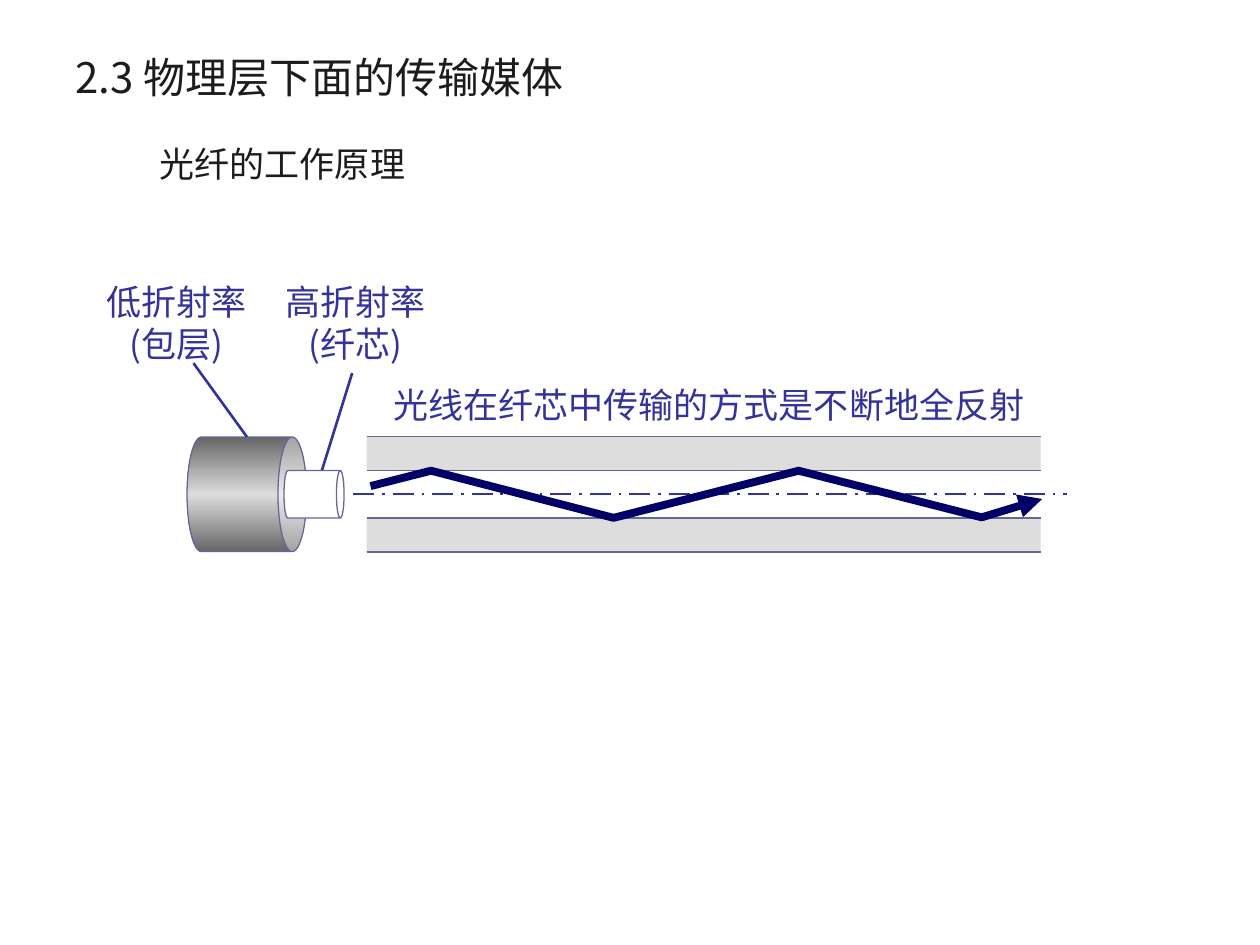
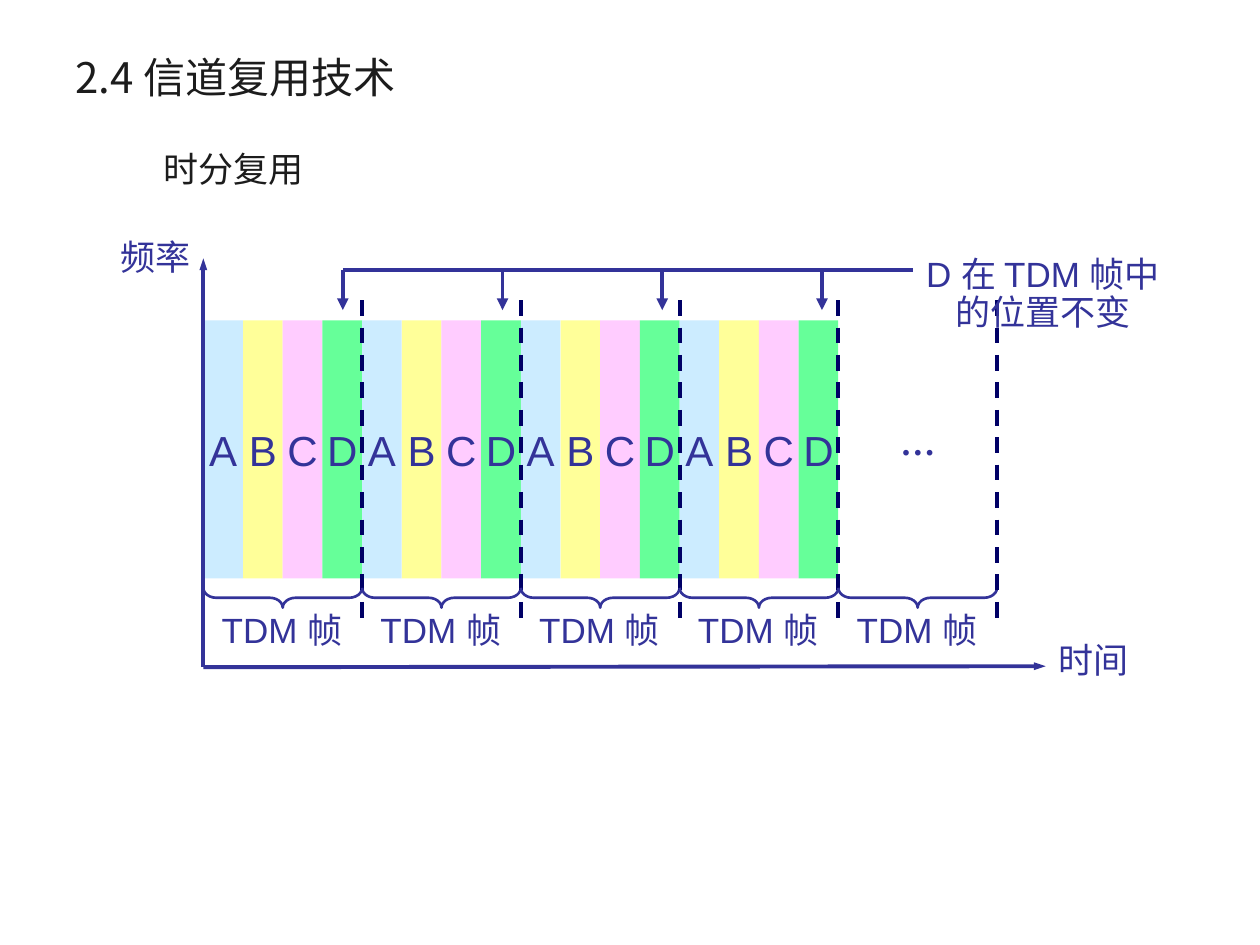
from lxml.etree import SubElement
from pptx import Presentation
from pptx.dml.color import RGBColor
from pptx.enum.dml import MSO_LINE
from pptx.enum.shapes import MSO_CONNECTOR, MSO_SHAPE
from pptx.enum.text import MSO_ANCHOR, PP_ALIGN
from pptx.oxml.ns import qn
from pptx.util import Cm, Pt

COLORS = {
    "title": "1C1C1C", "text": "333399", "ray": "000066", "edge": "666699",
    "cladding": "DDDDDD", "dark": "666666", "core": "FFFFFF",
    "A": "CCECFF", "B": "FFFF99", "C": "FFCCFF", "D": "66FF99",
}
CJK = "Noto Sans CJK SC"
LATIN = "Arial"
SERIF = "Times New Roman"

# All places and sizes are in centimetres: left, top, width, height.
HEADING_BOX = (1.27, 0.78, 22.86, 1.55)

FIBER = {
    "heading": "2.3 物理层下面的传输媒体",
    "title": "光纤的工作原理",
    "title_box": (1.9, 2.53, 7.59, 1.55),
    "labels": [
        (["低折射率", "(包层)"], (1.9, 5.53, 3.33, 1.96)),
        (["高折射率", "(纤芯)"], (5.51, 5.53, 3.33, 1.96)),
    ],
    "leaders": [((3.9, 7.32), (4.98, 8.81)), ((7.1, 7.52), (6.49, 9.48))],
    "caption": ("光线在纤芯中传输的方式是不断地全反射", (7.68, 7.61, 13.23, 1.12)),
    "span": (7.39, 20.98),
    "edges": [8.8, 9.49, 10.44, 11.13],
    "layers": ["cladding", "core", "cladding"],
    "cladding_can": (3.82, 8.76, 2.31, 2.41),
    "core_can": (5.85, 9.36, 0.96, 1.21),
    "axis": ((7.12, 9.96), (21.51, 9.96)),
    "ray": [(7.47, 9.8), (8.69, 9.49), (12.37, 10.44),
            (16.1, 9.49), (19.79, 10.43), (21.01, 10.06)],
}

TDM = {
    "heading": "2.4 信道复用技术",
    "title": "时分复用",
    "title_box": (2.2, 2.62, 5.03, 1.55),
    "users": "ABCD",
    "full_frames": 4,
    "frames": 5,
    "frame_label": "TDM 帧",
    "axis_labels": [("频率", (2.18, 4.72, 2.3, 1.02)),
                    ("时间", (21.09, 12.85, 2.3, 1.02))],
    "note": (["D 在 TDM 帧中", "的位置不变"], (18.17, 5.07, 5.72, 1.78)),
    "more": ("…", (17.9, 8.36, 1.22, 1.09)),
}
ORIGIN_X, ORIGIN_Y = 4.1, 13.45
SLOT_W, SLOT_TOP, SLOT_H = 0.8, 6.46, 5.2
FRAME_W = SLOT_W * len(TDM["users"])
BRACE_Y, BRACE_DEPTH = 12.05, 0.4
NOTE_Y, POINTER_X, POINTER_GAP = 5.45, 6.91, 3.22


def rgb(name):
    return RGBColor.from_string(COLORS[name])


def cm(values):
    return [Cm(v) for v in values]


def write(sp, lines, size=20, font=CJK, color="text", align=PP_ALIGN.LEFT,
          anchor=MSO_ANCHOR.TOP, spacing=None, bold=False, wrap=False):
    tf = sp.text_frame
    tf.word_wrap = wrap
    tf.vertical_anchor = anchor
    for i, line in enumerate(lines):
        p = tf.add_paragraph() if i else tf.paragraphs[0]
        p.text = line
        p.alignment = align
        p.line_spacing = spacing
        f = p.font
        f.size, f.name, f.bold = Pt(size), font, bold
        f.color.rgb = rgb(color)
        latin = f._element.find(qn("a:latin"))
        ea = SubElement(f._element, qn("a:ea"), typeface=CJK)
        latin.addnext(ea)


def add_text(slide, lines, box, **style):
    write(slide.shapes.add_textbox(*cm(box)), lines, **style)


def add_preset(slide, kind, box, fill=None, edge=None, width=0.75):
    sp = slide.shapes.add_shape(kind, *cm(box))
    sp.shadow.inherit = False
    if fill:
        sp.fill.solid()
        sp.fill.fore_color.rgb = rgb(fill)
    else:
        sp.fill.background()
    if edge:
        sp.line.color.rgb = rgb(edge)
        sp.line.width = Pt(width)
    else:
        sp.line.fill.background()
    return sp


def style_line(sp, color, width, dash=None, arrow=None):
    """Style a line; arrow is the width of its head: sm, med or lg."""
    sp.line.color.rgb = rgb(color)
    sp.line.width = Pt(width)
    if dash:
        sp.line.dash_style = dash
    if arrow:
        SubElement(sp.line._get_or_add_ln(), qn("a:tailEnd"),
                   type="triangle", w=arrow)


def add_line(slide, start, end, color="text", width=2.25, **style):
    c = slide.shapes.add_connector(MSO_CONNECTOR.STRAIGHT, *cm(start + end))
    style_line(c, color, width, **style)
    SubElement(c._element.spPr, qn("a:effectLst"))


def add_can(slide, box, depth, fill):
    """Add a cylinder lying on its side, open end to the right."""
    sp = add_preset(slide, MSO_SHAPE.CAN, box, fill, "edge")
    sp.rotation = 90
    sp.adjustments[0] = depth
    return sp


def shade_across(sp, outer, middle):
    """Fill with a gradient from outer through middle and back to outer."""
    sp.fill.gradient()
    sp.fill.gradient_angle = 0
    stops = sp.fill._fill._gradFill.find(qn("a:gsLst"))
    for gs in list(stops):
        stops.remove(gs)
    for pos, name in ((0, outer), (50000, middle), (100000, outer)):
        gs = SubElement(stops, qn("a:gs"), pos=str(pos))
        SubElement(gs, qn("a:srgbClr"), val=COLORS[name])


def start_slide(prs, content):
    slide = prs.slides.add_slide(prs.slide_layouts[5])
    title = slide.shapes.title
    title.left, title.top, title.width, title.height = cm(content["title_box"])
    write(title, [content["title"]], color="title", align=PP_ALIGN.CENTER,
          anchor=MSO_ANCHOR.MIDDLE, wrap=True)
    add_text(slide, [content["heading"]], HEADING_BOX, size=24, color="title",
             anchor=MSO_ANCHOR.MIDDLE, wrap=True)
    return slide


def build_fiber(prs):
    slide = start_slide(prs, FIBER)
    left, right = FIBER["span"]
    edges = FIBER["edges"]
    for fill, top, bottom in zip(FIBER["layers"], edges, edges[1:]):
        add_preset(slide, MSO_SHAPE.RECTANGLE,
                   (left, top, right - left, bottom - top), fill)
    can = add_can(slide, FIBER["cladding_can"], 0.25, "cladding")
    shade_across(can, "dark", "cladding")
    add_can(slide, FIBER["core_can"], 0.16, "core")
    for y in edges:
        add_line(slide, (left, y), (right, y), "edge", 0.75)
    add_line(slide, *FIBER["axis"], width=1.5, dash=MSO_LINE.LONG_DASH_DOT)

    for lines, box in FIBER["labels"]:
        add_text(slide, lines, box, align=PP_ALIGN.CENTER)
    for start, end in FIBER["leaders"]:
        add_line(slide, start, end, width=1.5)
    caption, box = FIBER["caption"]
    add_text(slide, [caption], box)

    first, *rest = [cm(point) for point in FIBER["ray"]]
    builder = slide.shapes.build_freeform(*first)
    builder.add_line_segments(rest, close=False)
    ray = builder.convert_to_shape()
    ray.shadow.inherit = False
    ray.fill.background()
    style_line(ray, "ray", 4.5, arrow="med")


def build_tdm(prs):
    slide = start_slide(prs, TDM)
    frame_lefts = [ORIGIN_X + i * FRAME_W for i in range(TDM["frames"])]
    full_lefts = frame_lefts[:TDM["full_frames"]]

    for x in full_lefts:
        for i, user in enumerate(TDM["users"]):
            slot = add_preset(slide, MSO_SHAPE.RECTANGLE,
                              (x + i * SLOT_W, SLOT_TOP, SLOT_W, SLOT_H), user)
            write(slot, [user], 24, LATIN, align=PP_ALIGN.CENTER,
                  anchor=MSO_ANCHOR.MIDDLE)

    for x in frame_lefts:
        brace = add_preset(slide, MSO_SHAPE.LEFT_BRACE,
                           (x + (FRAME_W - BRACE_DEPTH) / 2,
                            BRACE_Y - FRAME_W / 2, BRACE_DEPTH, FRAME_W),
                           edge="text", width=1.5)
        brace.rotation = 270
        brace.adjustments[0] = 0.65
        add_text(slide, [TDM["frame_label"]], (x + 0.12, 12.24, 3.6, 1.02),
                 font=LATIN, spacing=0.9)
        end = x + FRAME_W
        add_line(slide, (end, 6.05), (end, 12.65), "ray", dash=MSO_LINE.DASH)

    add_line(slide, (POINTER_X, NOTE_Y), (18.4, NOTE_Y))
    for i in range(TDM["full_frames"]):
        x = POINTER_X + i * POINTER_GAP
        add_line(slide, (x, NOTE_Y), (x, 6.25), arrow="med")
    for end in ((21.08, ORIGIN_Y - 0.02), (ORIGIN_X, 5.21)):
        add_line(slide, (ORIGIN_X, ORIGIN_Y), end, arrow="sm")

    for label, box in TDM["axis_labels"]:
        add_text(slide, [label], box, font=SERIF, spacing=0.9)
    lines, box = TDM["note"]
    add_text(slide, lines, box, font=LATIN, align=PP_ALIGN.CENTER, spacing=0.9)
    more, box = TDM["more"]
    add_text(slide, [more], box, font=SERIF, bold=True)


def main():
    prs = Presentation()
    prs.slide_width, prs.slide_height = Cm(25.4), Cm(19.05)
    build_fiber(prs)
    build_tdm(prs)
    prs.save("out.pptx")


if __name__ == "__main__":
    main()
